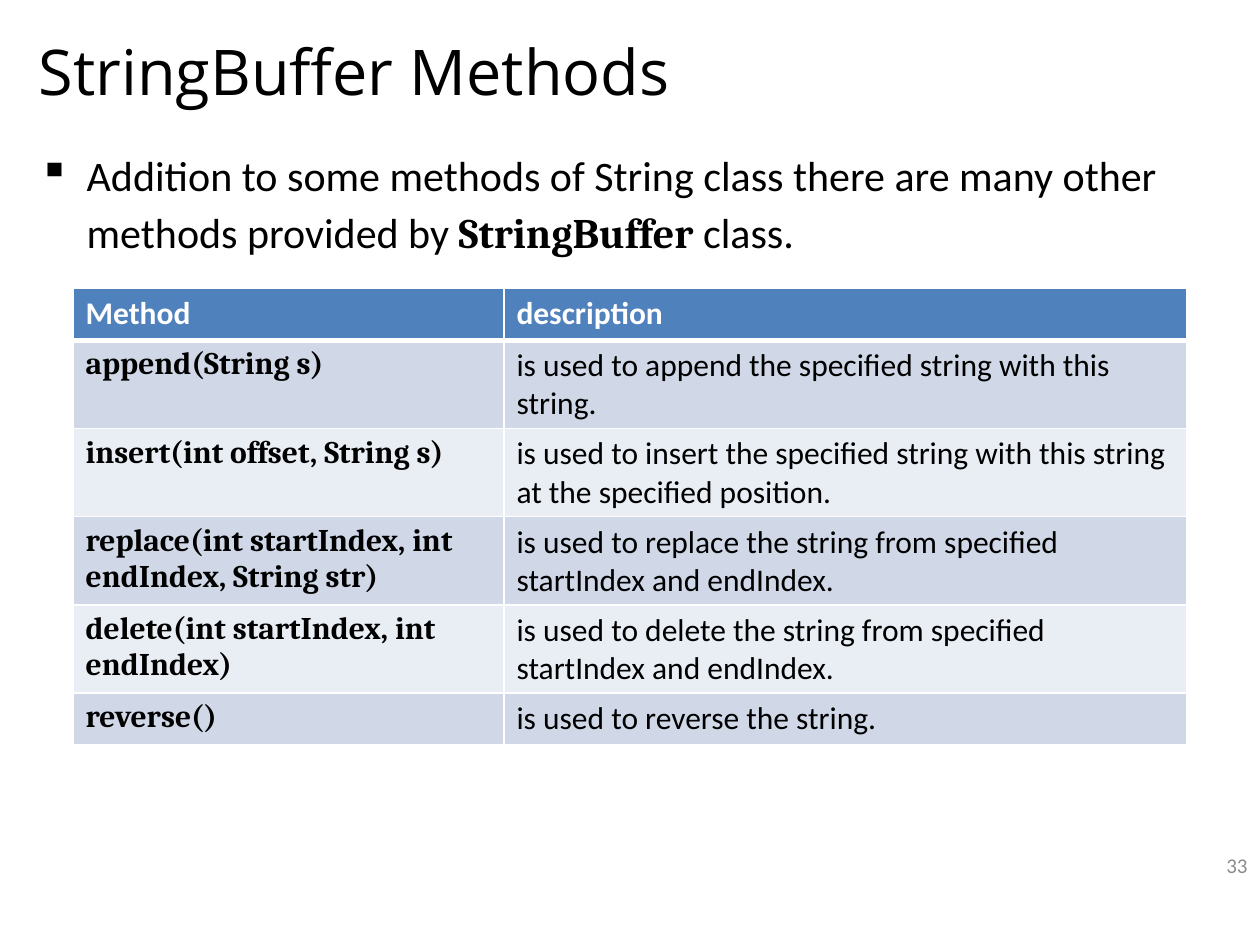
from lxml import etree
from pptx import Presentation
from pptx.dml.color import RGBColor
from pptx.enum.text import MSO_ANCHOR, PP_ALIGN
from pptx.oxml.ns import qn
from pptx.util import Inches, Pt

MIDDLE, TOP = MSO_ANCHOR.MIDDLE, MSO_ANCHOR.TOP
LEFT, RIGHT = PP_ALIGN.LEFT, PP_ALIGN.RIGHT

WIDTH, HEIGHT = 10, 7.5
MARGIN = 0.21
CONTENT_WIDTH = WIDTH - 2 * MARGIN
COLUMN_WIDTHS = [3.42, 5.42]
ROW_HEIGHT = 0.41
INDENT = 0.38
BLACK, WHITE, GREY = "000000", "FFFFFF", "8C8C8C"
HEADER_FILL = "4F81BD"
BAND_FILLS = ["D0D8E8", "E9EDF4"]

TITLE = "StringBuffer Methods"
INTRODUCTION = [
    ("Addition to some methods of String class there are many other methods provided by ", "Calibri", False),
    ("StringBuffer", "Cambria", True),
    (" class.", "Calibri", False),
]
PAGE_NUMBER = "33"
HEADER = ("Method", "description")
METHODS = [
    ("append(String s)", "is used to append the specified string with this string."),
    ("insert(int offset, String s)", "is used to insert the specified string with this string at the specified position."),
    ("replace(int startIndex, int endIndex, String str)", "is used to replace the string from specified startIndex and endIndex."),
    ("delete(int startIndex, int endIndex)", "is used to delete the string from specified startIndex and endIndex."),
    ("reverse()", "is used to reverse the string."),
]


def color(value):
    return RGBColor.from_string(value)


def add_run(paragraph, text, size, font, fill=BLACK, bold=False):
    run = paragraph.add_run()
    run.text = text
    run.font.size, run.font.name, run.font.bold = Pt(size), font, bold
    run.font.color.rgb = color(fill)


def add_text_box(slide, left, top, width, height, anchor, alignment=LEFT):
    frame = slide.shapes.add_textbox(*map(Inches, (left, top, width, height))).text_frame
    frame.word_wrap = True
    frame.vertical_anchor = anchor
    paragraph = frame.paragraphs[0]
    paragraph.alignment = alignment
    return paragraph


def add_bullet(paragraph, character):
    properties = paragraph._p.get_or_add_pPr()
    properties.set("marL", str(Inches(INDENT)))
    properties.set("indent", str(-Inches(INDENT)))
    etree.SubElement(properties, qn("a:buChar"), char=character)


def set_borders(cell, top, bottom):
    properties = cell._tc.get_or_add_tcPr()
    widths = {"a:lnL": 1, "a:lnR": 1, "a:lnT": top, "a:lnB": bottom}
    for side, width in widths.items():
        line = etree.SubElement(properties, qn(side), w=str(Pt(width)))
        fill = etree.SubElement(line, qn("a:solidFill"))
        etree.SubElement(fill, qn("a:srgbClr"), val=WHITE)


def fill_cell(cell, text, font, text_color, bold, background, top=1, bottom=1):
    set_borders(cell, top, bottom)
    cell.fill.solid()
    cell.fill.fore_color.rgb = color(background)
    add_run(cell.text_frame.paragraphs[0], text, 18, font, text_color, bold)


def add_method_table(slide):
    row_count = len(METHODS) + 1
    table = slide.shapes.add_table(
        row_count, len(COLUMN_WIDTHS), Inches(0.58), Inches(2.29),
        Inches(sum(COLUMN_WIDTHS)), Inches(ROW_HEIGHT * row_count)).table
    for column, width in zip(table.columns, COLUMN_WIDTHS):
        column.width = Inches(width)
    for index, label in enumerate(HEADER):
        fill_cell(table.cell(0, index), label, "Calibri", WHITE, True, HEADER_FILL, bottom=3)
    for row, (method, description) in enumerate(METHODS, 1):
        background = BAND_FILLS[(row - 1) % 2]
        top = 3 if row == 1 else 1
        fill_cell(table.cell(row, 0), method, "Cambria", BLACK, True, background, top)
        fill_cell(table.cell(row, 1), description, "Calibri", BLACK, False, background, top)


def main():
    presentation = Presentation()
    presentation.slide_width, presentation.slide_height = Inches(WIDTH), Inches(HEIGHT)
    slide = presentation.slides.add_slide(presentation.slide_layouts[6])

    title = add_text_box(slide, MARGIN, 0.12, CONTENT_WIDTH, 0.88, MIDDLE)
    add_run(title, TITLE, 36, "Open Sans")

    introduction = add_text_box(slide, MARGIN, 1.08, CONTENT_WIDTH, 5.83, TOP)
    add_bullet(introduction, "▪")
    introduction.line_spacing = 1.14
    for text, font, bold in INTRODUCTION:
        add_run(introduction, text, 24, font, bold=bold)

    number = add_text_box(slide, 7.67, 6.67, 2.33, 0.4, MIDDLE, RIGHT)
    add_run(number, PAGE_NUMBER, 12, "Calibri", GREY)

    add_method_table(slide)
    presentation.save("out.pptx")


if __name__ == "__main__":
    main()
